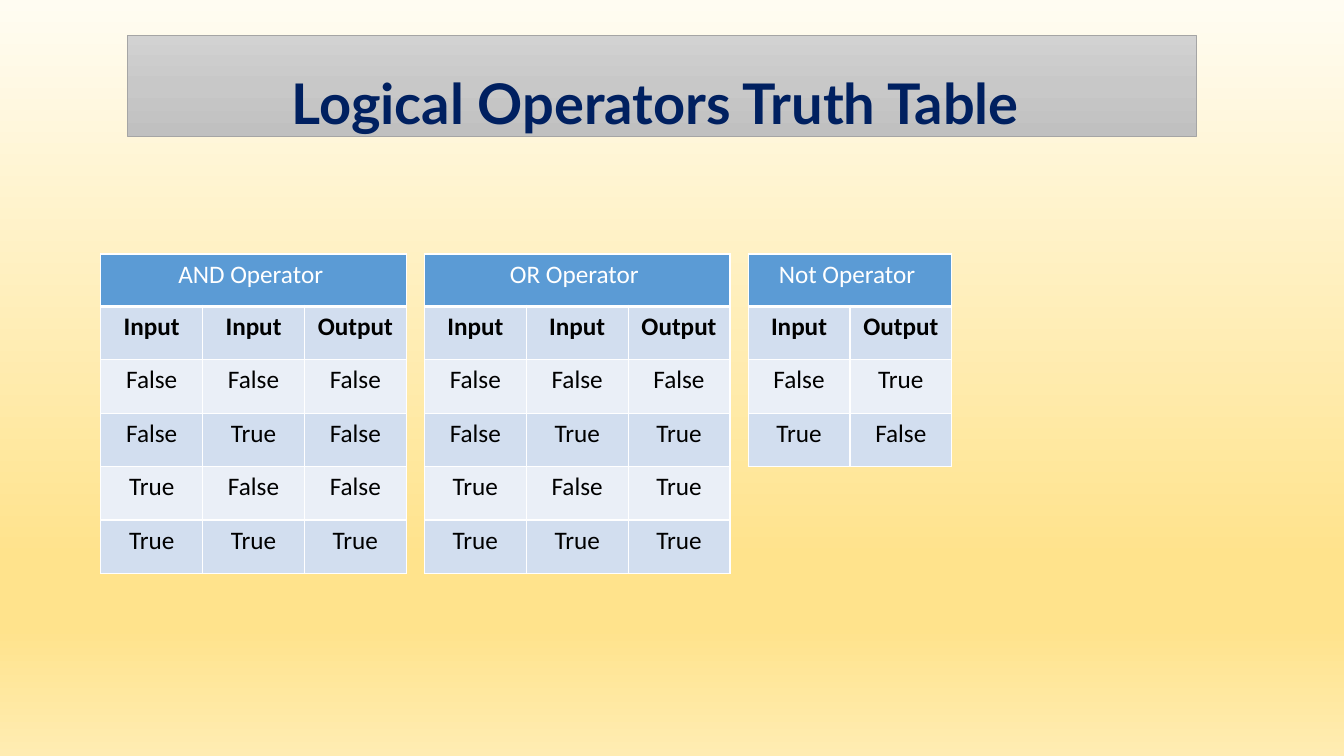
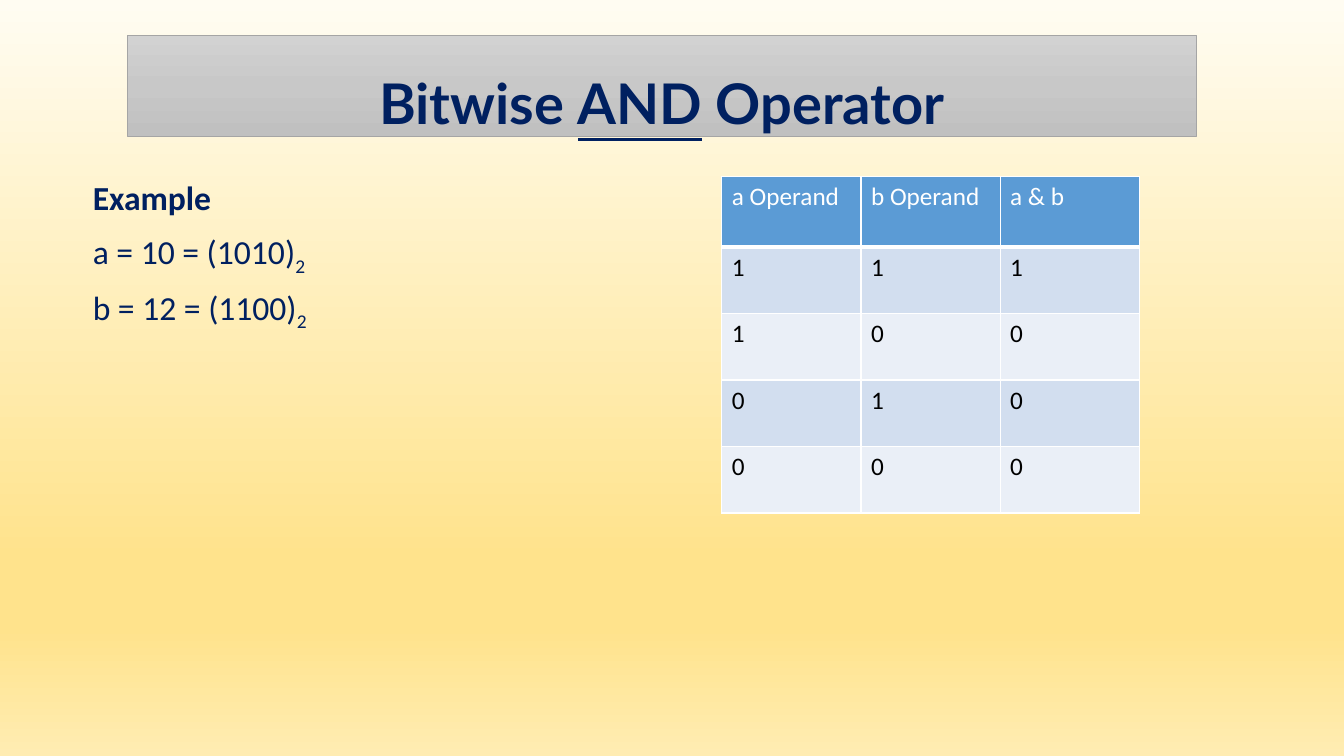
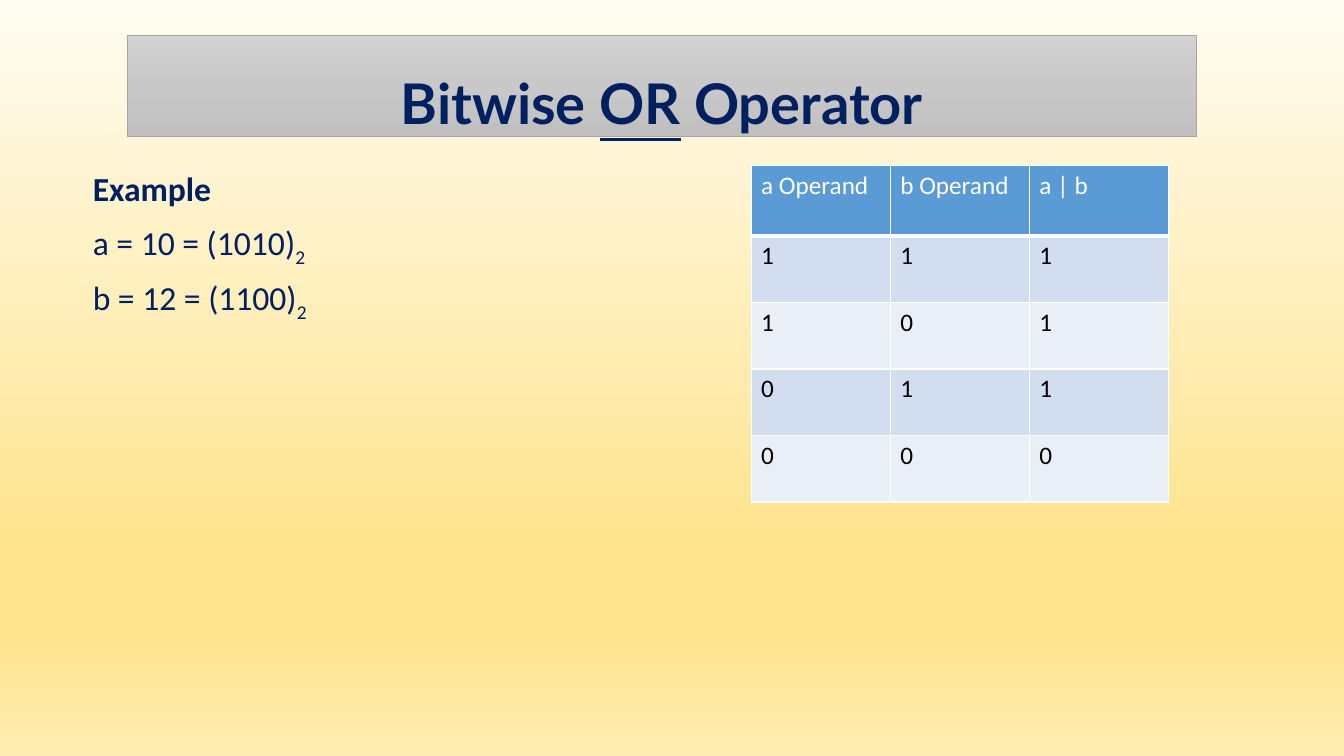
from pptx import Presentation, util as u
from pptx.dml.color import RGBColor
from pptx.enum import text as tx
from pptx.oxml import parse_xml
from pptx.oxml.ns import nsdecls, qn

NAVY, WHITE, BLACK = "002060", "FFFFFF", "000000"
HEAD, BANDS = "5B9BD5", ("D2DEEF", "EAEFF7")
SKY = [(0, "FFFCF2"), (74, "FFE38C"), (83, "FFE38C"), (100, "FFECB2")]
STEEL = [(0, "D2D2D2"), (50, "C8C8C8"), (100, "C0C0C0")]
EDGE = "A5A5A5"

F, T = "False", "True"
PAIRS = [(F, F), (F, T), (T, F), (T, T)]
TRUTH = [
    ("AND Operator ", ["Input", "Input", "Output"],
     [(*pair, out) for pair, out in zip(PAIRS, (F, F, F, T))]),
    ("OR Operator ", ["Input", "Input", "Output"],
     [(*pair, out) for pair, out in zip(PAIRS, (F, T, T, T))]),
    ("Not Operator ", ["Input", "Output"], [(F, T), (T, F)]),
]
BITS = [("1", "1"), ("1", "0"), ("0", "1"), ("0", "0")]
BITWISE = [
    dict(name="AND", sign="a & b", outs="1000", body=1.75, at=(7.16, 1.75)),
    dict(name="OR", sign="a | b", outs="1110", body=1.66, at=(7.45, 1.64)),
]
SAMPLE = [
    [("Example", dict(bold=True))],
    [("a = 10 = (1010)", {}), ("2", dict(base=-25))],
    [("b = 12 = (1100)", {}), ("2", dict(base=-25))],
]


def rgb(code):
    return RGBColor.from_string(code)


def say(frame, lines, size=18, face="Calibri", color=BLACK, bold=False,
        align=tx.PP_ALIGN.LEFT, lead=None, before=None):
    for i, line in enumerate(lines):
        para = frame.add_paragraph() if i else frame.paragraphs[0]
        para.alignment = align
        para.line_spacing = lead
        para.space_before = before
        for words, extra in line:
            run = para.add_run()
            run.text = words
            font = run.font
            font.size, font.name = u.Pt(size), face
            font.color.rgb = rgb(color)
            font.bold = extra.get("bold", bold)
            font.underline = extra.get("line")
            if "base" in extra:
                run.font._element.set("baseline", str(extra["base"] * 1000))


def shade(fill, root, stops):
    fill.gradient()
    fill.gradient_angle = 270
    group = next(root.iter(qn("a:gsLst")))
    for old in list(group):
        group.remove(old)
    for pos, code in stops:
        group.append(parse_xml(
            f'<a:gs {nsdecls("a")} pos="{pos * 1000}"><a:srgbClr val="{code}"/></a:gs>'))


def place(shape, left, top, width, height):
    shape.left, shape.top = u.Inches(left), u.Inches(top)
    shape.width, shape.height = u.Inches(width), u.Inches(height)


def start(deck, layout, title):
    slide = deck.slides.add_slide(deck.slide_layouts[layout])
    bar = slide.shapes.title
    place(bar, 1.26, 0.35, 10.61, 1)
    bar.element.spPr.append(parse_xml(
        f'<a:prstGeom {nsdecls("a")} prst="roundRect"><a:avLst/></a:prstGeom>'))
    shade(bar.fill, bar.element, STEEL)
    bar.line.color.rgb = rgb(EDGE)
    bar.line.width = u.Pt(0.5)
    frame = bar.text_frame
    frame.auto_size = tx.MSO_AUTO_SIZE.NONE
    frame.vertical_anchor = tx.MSO_ANCHOR.MIDDLE
    say(frame, [title], size=40, face="Lato", color=NAVY, bold=True,
        align=tx.PP_ALIGN.CENTER, lead=1.5)
    return slide


def border(cell, base):
    props = cell._tc.get_or_add_tcPr()
    for side, width in zip("LRTB", (1, 1, 1, base)):
        props.append(parse_xml(
            f'<a:ln{side} {nsdecls("a")} w="{u.Pt(width)}"><a:solidFill>'
            f'<a:srgbClr val="{WHITE}"/></a:solidFill></a:ln{side}>'))


def grid(slide, left, top, rows, wide, first, high, align, strong=None):
    count = len(rows[-1])
    table = slide.shapes.add_table(
        len(rows), count, u.Inches(left), u.Inches(top), u.Inches(wide * count),
        u.Inches(first + high * (len(rows) - 1))).table
    for col in table.columns:
        col.width = u.Inches(wide)
    for r, row in enumerate(rows):
        table.rows[r].height = u.Inches(high if r else first)
        for c in range(count):
            cell = table.cell(r, c)
            border(cell, 1 if r else 3)
            cell.fill.solid()
            cell.fill.fore_color.rgb = rgb(BANDS[(r - 1) % 2] if r else HEAD)
            if c < len(row):
                say(cell.text_frame, [[(row[c], {})]], align=align,
                    color=BLACK if r else WHITE, bold=r == strong)
        if len(row) < count:
            table.cell(r, 0).merge(table.cell(r, count - 1))


def truth(deck):
    slide = start(deck, 5, [("Logical Operators Truth Table ", {})])
    left, wide, gap = 1, 1.01, 0.18
    for name, heads, rows in TRUTH:
        grid(slide, left, 2.52, [[name], heads, *rows], wide, 0.52, 0.53,
             tx.PP_ALIGN.CENTER, strong=1)
        left += wide * len(heads) + gap


def bitwise(deck, item):
    slide = start(deck, 1, [("Bitwise ", {}), (item["name"], dict(line=True)),
                            (" Operator", {})])
    body = slide.placeholders[1]
    place(body, 0.82, item["body"], 11.5, 5.51)
    body.text_frame.auto_size = tx.MSO_AUTO_SIZE.NONE
    say(body.text_frame, SAMPLE, size=24, color=NAVY, lead=0.9, before=u.Pt(10))
    for para in body.text_frame.paragraphs:
        props = para._p.get_or_add_pPr()
        props.set("marL", "0")
        props.set("indent", "0")
        props.append(parse_xml(f'<a:buNone {nsdecls("a")}/>'))
    rows = [(*pair, out) for pair, out in zip(BITS, item["outs"])]
    grid(slide, *item["at"], [["a Operand", "b Operand", item["sign"]], *rows],
         1.38, 0.7, 0.66, tx.PP_ALIGN.LEFT)


def main():
    deck = Presentation()
    deck.slide_width, deck.slide_height = u.Inches(13.33), u.Inches(7.5)
    master = deck.slide_master
    shade(master.background.fill, master.element, SKY)
    truth(deck)
    for item in BITWISE:
        bitwise(deck, item)
    deck.save("out.pptx")


if __name__ == "__main__":
    main()
